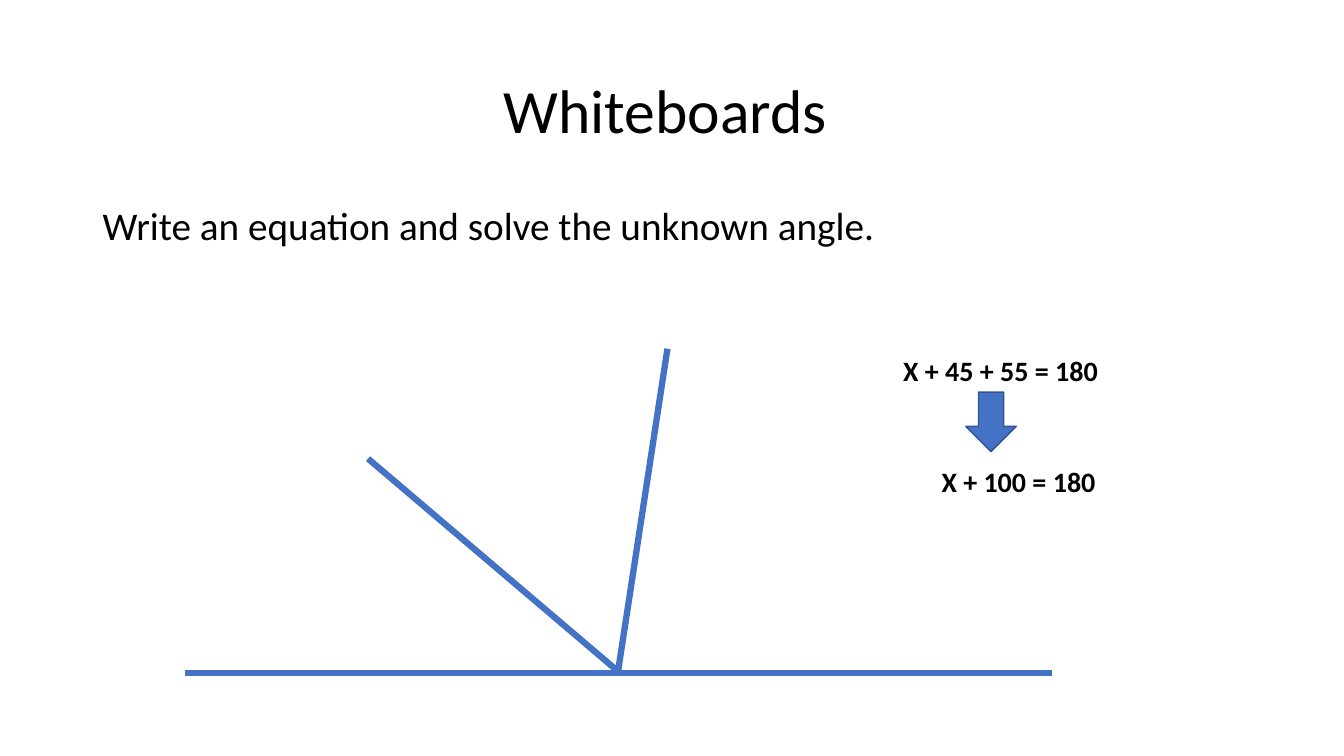
from lxml.etree import SubElement
from pptx import Presentation
from pptx.dml.color import RGBColor
from pptx.enum.shapes import MSO_CONNECTOR, MSO_SHAPE
from pptx.enum.text import MSO_ANCHOR, PP_ALIGN
from pptx.oxml.ns import qn
from pptx.util import Inches, Pt

COLORS = {"text": "000000", "accent": "4472C4", "outline": "325491"}


def rgb(name):
    return RGBColor.from_string(COLORS[name])


def add_text(slide, box, wording, font, paragraph=None, anchor=MSO_ANCHOR.TOP):
    frame = slide.shapes.add_textbox(*map(Inches, box)).text_frame
    frame.word_wrap = True
    frame.vertical_anchor = anchor
    line = frame.paragraphs[0]
    for key, value in (paragraph or {}).items():
        setattr(line, key, value)
    run = line.add_run()
    run.text = wording
    for key, value in {"name": "Calibri", **font}.items():
        setattr(run.font, key, value)
    run.font.color.rgb = rgb("text")


def add_heading(slide, box):
    add_text(slide, box, "Whiteboards ", {"size": Pt(44)},
             {"alignment": PP_ALIGN.CENTER, "line_spacing": 0.9}, MSO_ANCHOR.MIDDLE)


def add_instruction(slide, box):
    add_text(slide, box, "Write an equation and solve the unknown angle.",
             {"size": Pt(28)}, {"line_spacing": 0.9})


def add_angle_diagram(slide, box):
    left, top, width, height = box
    baseline = top + height
    vertex = (left + width / 2, baseline - 0.02)
    segments = [
        ((left + 4.79, top), vertex),
        ((left + width, baseline), (left, baseline)),
        ((left + 1.82, top + 1.09), vertex),
    ]
    for start, end in segments:
        ray = slide.shapes.add_connector(
            MSO_CONNECTOR.STRAIGHT, *map(Inches, start + end))
        ray.line.color.rgb = rgb("accent")
        ray.line.width = Pt(4.5)
        SubElement(ray._element.spPr, qn("a:effectLst"))


def add_equations(slide, box):
    left, top, width, height = box
    steps = [("X + 45 + 55 = 180", 0, 0), ("X + 100 = 180", 0.38, 1.1)]
    for equation, indent, drop in steps:
        add_text(slide, (left + indent, top + drop, width, height), equation,
                 {"size": Pt(20), "bold": True})
    arrow = slide.shapes.add_shape(
        MSO_SHAPE.DOWN_ARROW,
        *map(Inches, (left + 0.72, top + 0.43, 0.5, 0.59)))
    arrow.shadow.inherit = False
    arrow.fill.solid()
    arrow.fill.fore_color.rgb = rgb("accent")
    arrow.line.color.rgb = rgb("outline")
    arrow.line.width = Pt(1)


def main():
    deck = Presentation()
    deck.slide_width, deck.slide_height = Inches(13.33), Inches(7.5)
    slide = deck.slides.add_slide(deck.slide_layouts[6])
    add_heading(slide, (0.92, 0.4, 11.5, 1.45))
    add_instruction(slide, (0.92, 2, 11.5, 4.76))
    add_angle_diagram(slide, (1.83, 3.46, 8.6, 3.22))
    add_equations(slide, (8.86, 3.46, 2.97, 0.44))
    deck.save("out.pptx")


if __name__ == "__main__":
    main()
